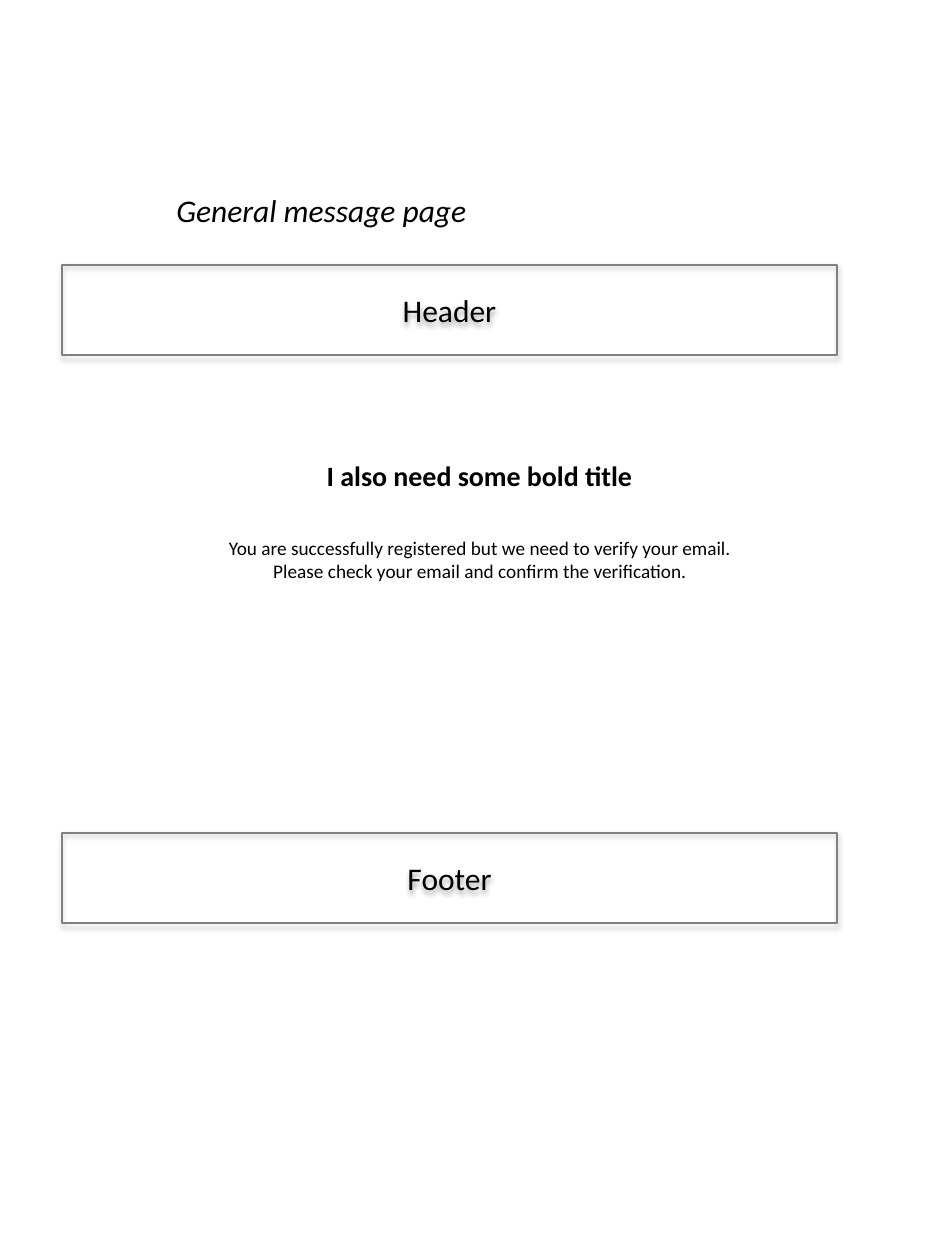
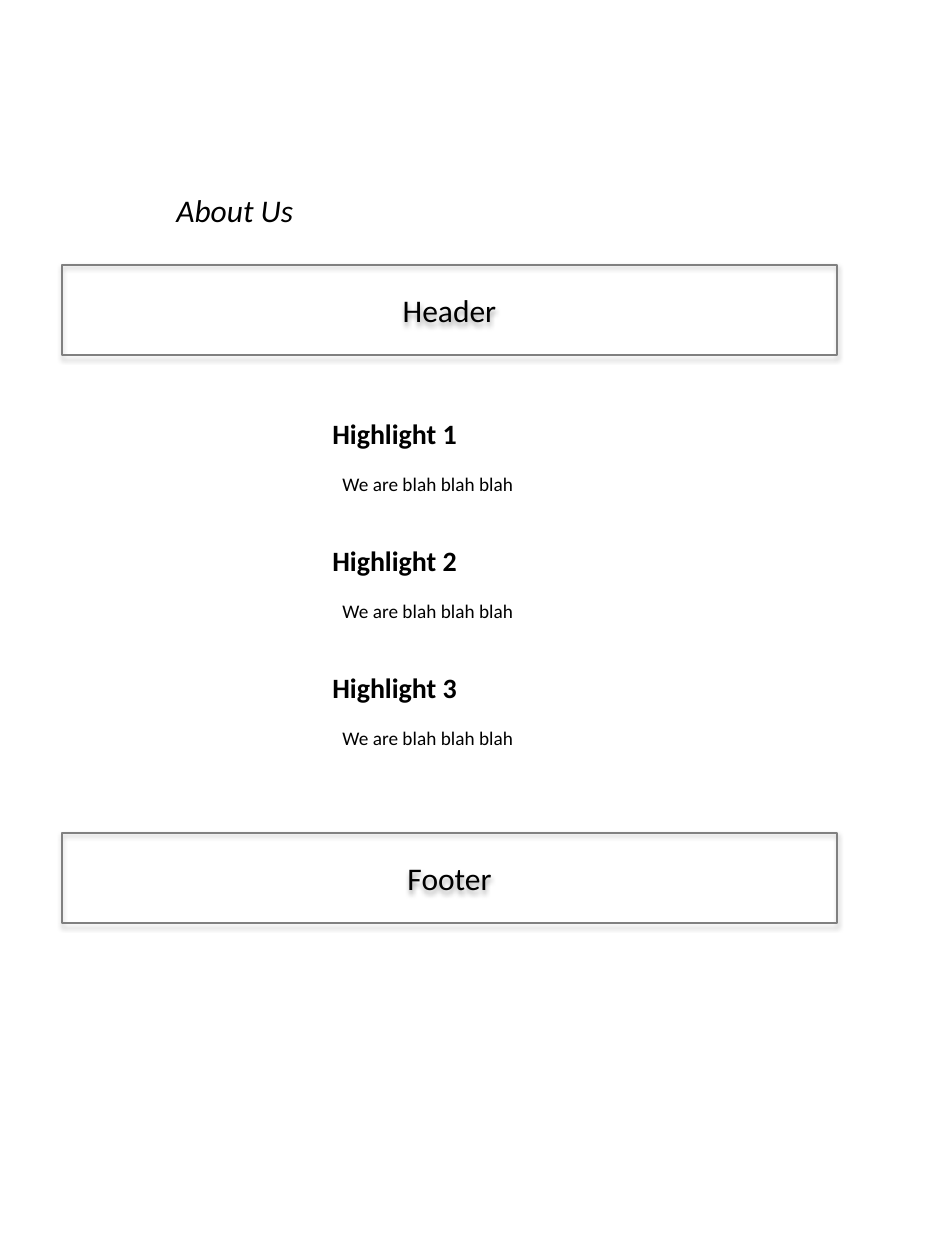
from pptx import Presentation
from pptx.dml.color import RGBColor
from pptx.enum.shapes import MSO_SHAPE as Shape
from pptx.enum.text import MSO_ANCHOR as Anchor, MSO_AUTO_SIZE as Fit, PP_ALIGN as Align
from pptx.oxml import parse_xml
from pptx.util import Pt

# Shared look
SCALE = 914400 / 126
FONT = "Calibri"
INK, EDGE = "000000", "808080"
BANDS = [("Header", 265), ("Footer", 833)]
SHADOW = (
    '<a:outerShdw xmlns:a="http://schemas.openxmlformats.org/drawingml/2006/main" '
    'blurRad="40000" dist="23000" dir="5400000" rotWithShape="0">'
    f'<a:srgbClr val="{INK}"><a:alpha val="35000"/></a:srgbClr></a:outerShdw>'
)


def px(*nums):
    return [round(n * SCALE) for n in nums]


def write(frame, lines, size, align=Align.LEFT, bold=False, slant=False):
    for i, line in enumerate(lines):
        para = frame.paragraphs[0] if i == 0 else frame.add_paragraph()
        para.alignment = align
        run = para.add_run()
        run.text = line
        font = run.font
        font.name, font.size = FONT, Pt(size)
        font.bold, font.italic = bold, slant
        font.color.rgb = RGBColor.from_string(INK)


deck = Presentation()
deck.slide_width, deck.slide_height = px(945, 1260)

# Texts of each page: box, lines, size, style
message = [
    ((164, 185, 326, 50), ["General message page"], 18, {"slant": True}),
    ((213, 530, 534, 59),
     ["You are successfully registered but we need to verify your email.",
      "Please check your email and confirm the verification."],
     11, {"align": Align.CENTER}),
    ((312, 452, 335, 47), ["I also need some bold title"], 16,
     {"align": Align.CENTER, "bold": True}),
]
about = [((164, 185, 151, 50), ["About Us"], 18, {"slant": True})]
for n in range(3):
    top = 410 + 127 * n
    about += [
        ((330, top + 56, 198, 36), ["We are blah blah blah"], 11, {}),
        ((320, top, 151, 47), [f"Highlight {n + 1}"], 16, {"bold": True}),
    ]

for texts in (message, about):
    slide = deck.slides.add_slide(deck.slide_layouts[6])

    # Header and footer bands
    for name, top in BANDS:
        band = slide.shapes.add_shape(Shape.RECTANGLE, *px(62, top, 775, 90))
        band.fill.background()
        band.line.color.rgb = RGBColor.from_string(EDGE)
        band.line.width = Pt(0.75)
        band.shadow.inherit = False
        band._element.spPr.find(".//{*}effectLst").append(parse_xml(SHADOW))
        band.text_frame.vertical_anchor = Anchor.MIDDLE
        write(band.text_frame, [name], 18, Align.CENTER)

    # Page title and body
    for box, lines, size, style in texts:
        frame = slide.shapes.add_textbox(*px(*box)).text_frame
        frame.word_wrap = False
        frame.auto_size = Fit.SHAPE_TO_FIT_TEXT
        write(frame, lines, size, **style)

deck.save("out.pptx")
